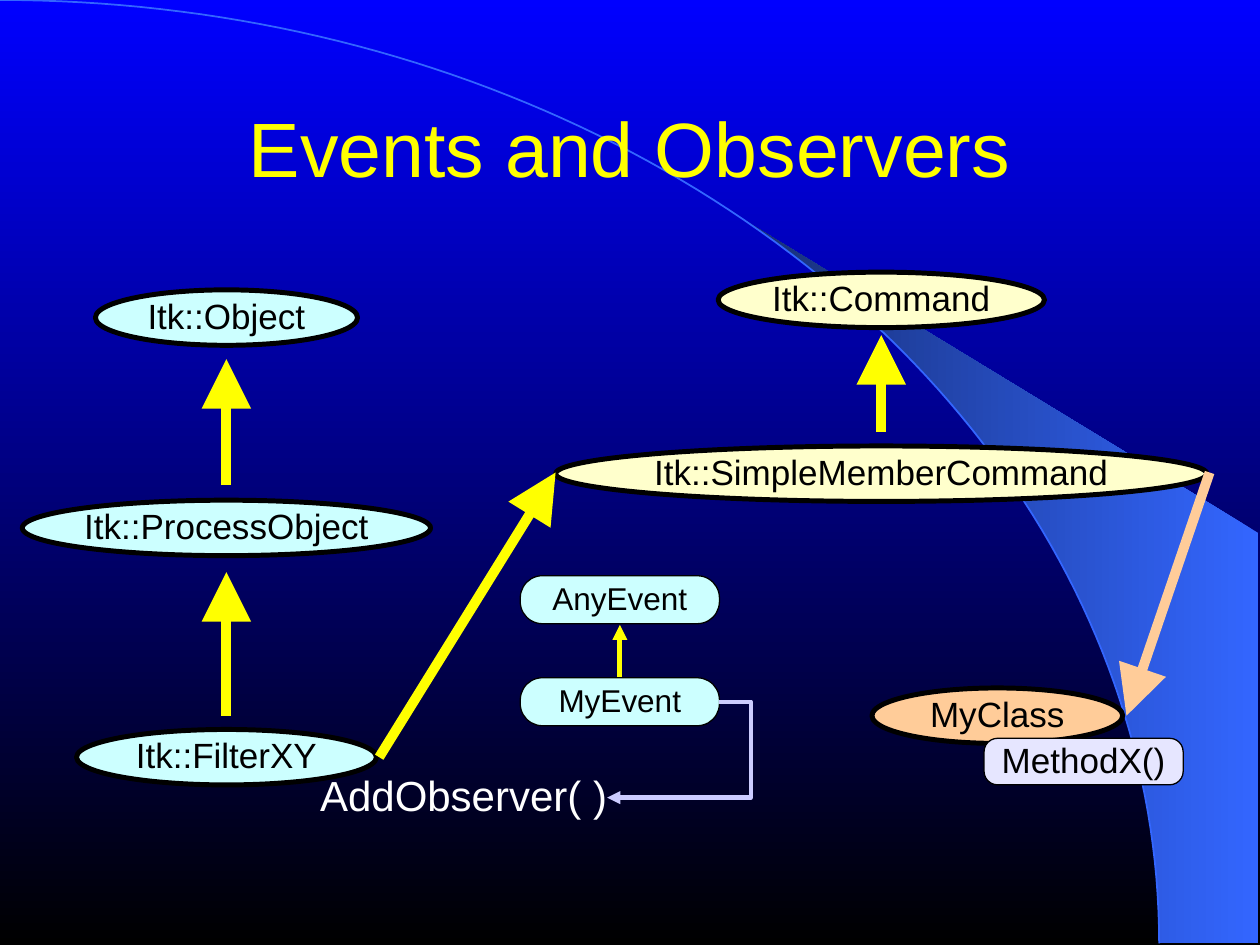
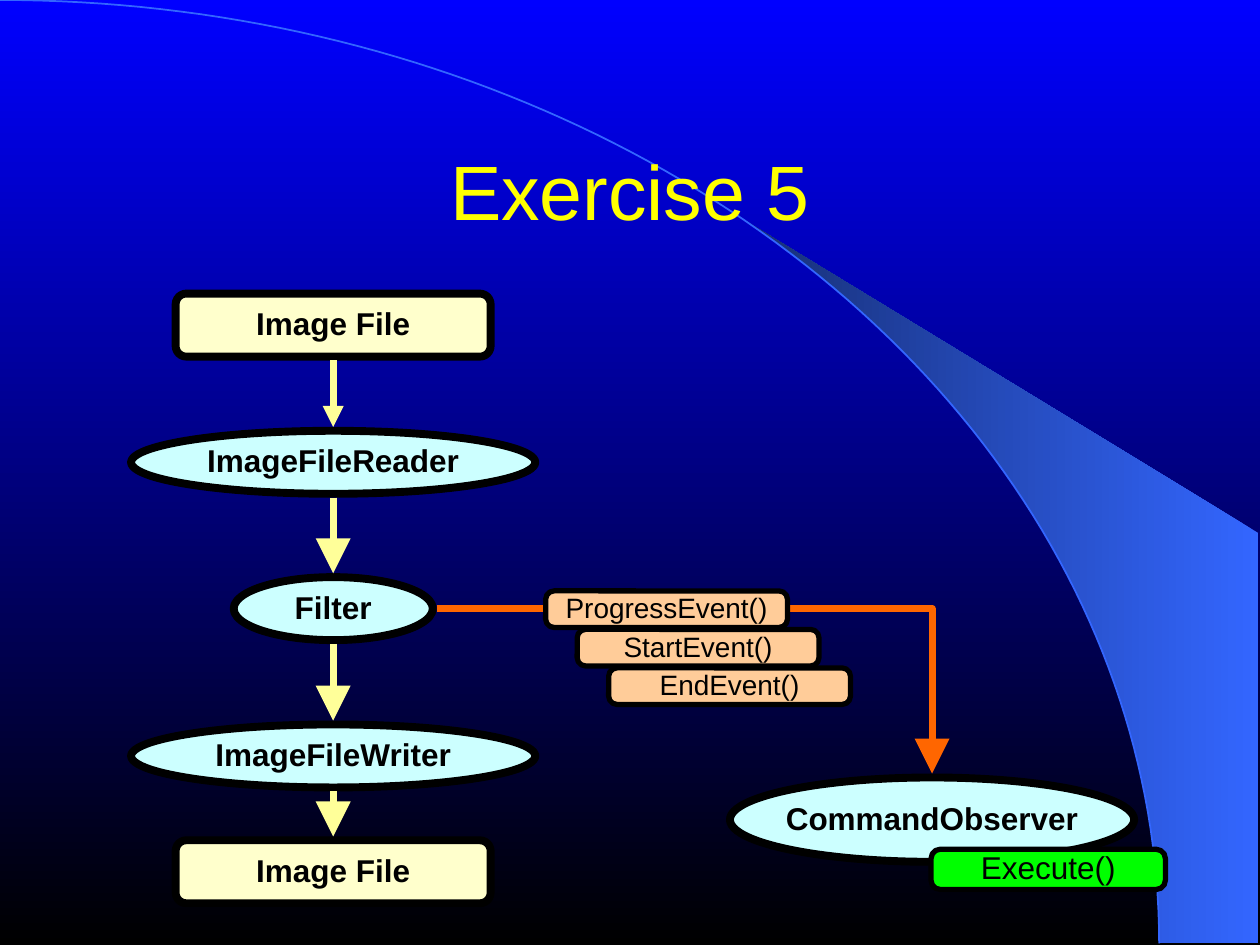
from dataclasses import dataclass
from itertools import pairwise
from math import cos, radians, sin

from lxml import etree
from pptx import Presentation
from pptx import util as u
from pptx.dml.color import RGBColor
from pptx.enum import shapes, text
from pptx.oxml.ns import qn

BLUE = RGBColor(0x00, 0x00, 0xFF)
BLACK = RGBColor(0x00, 0x00, 0x00)
WHITE = RGBColor(0xFF, 0xFF, 0xFF)
SKY = RGBColor(0x33, 0x66, 0xFF)
NAVY = RGBColor(0x17, 0x2F, 0x75)
YELLOW = RGBColor(0xFF, 0xFF, 0x00)
PALE_YELLOW = RGBColor(0xFF, 0xFF, 0x99)
CREAM = RGBColor(0xFF, 0xFF, 0xCC)
AQUA = RGBColor(0xCC, 0xFF, 0xFF)
PEACH = RGBColor(0xFF, 0xCC, 0x99)
LAVENDER = RGBColor(0xE6, 0xE6, 0xFF)
PERIWINKLE = RGBColor(0xCC, 0xCC, 0xFF)
ORANGE = RGBColor(0xFF, 0x66, 0x00)
GREEN = RGBColor(0x00, 0xFF, 0x00)

FONT = "Arial"
LINE_SPACING = 0.93
PAGE_WIDTH, PAGE_HEIGHT = 720, 540
ARC_WIDTH, ARC_HEIGHT = 662.4, 539
WEDGE_ANGLE = 50
TITLE_ONLY = 5

ELLIPSE = shapes.MSO_SHAPE.OVAL
ROUNDED = shapes.MSO_SHAPE.ROUNDED_RECTANGLE


@dataclass(frozen=True)
class NodeStyle:
    kind: shapes.MSO_SHAPE
    height: float
    size: float
    border: float
    radius: float = 0
    bold: bool = False


@dataclass(frozen=True)
class Node:
    label: str
    style: NodeStyle
    fill: RGBColor
    center_x: float
    center_y: float
    width: float


@dataclass(frozen=True)
class Arrow:
    start: tuple[float, float]
    end: tuple[float, float]
    color: RGBColor
    weight: float
    head: str = "lg"
    geometry: str = "line"
    bend: float | None = None


CLASS = NodeStyle(ELLIPSE, 31.7, 20, 2.83)
METHOD = NodeStyle(ROUNDED, 26.6, 20, 0.75, 0.29)
EVENT = NodeStyle(ROUNDED, 27.4, 18, 0.75, 0.46)
FILE = NodeStyle(ROUNDED, 36, 18, 4.5, 0.17, True)
STAGE = NodeStyle(ELLIPSE, 36, 18, 4.5, bold=True)
OBSERVER = NodeStyle(ELLIPSE, 48.2, 18, 4.5, bold=True)
CALLBACK = NodeStyle(ROUNDED, 23, 18, 3, 0.23)
SIGNAL = NodeStyle(ROUNDED, 20.9, 16, 3, 0.23)


def write(frame, words: str, size: float, color: RGBColor, bold: bool = False,
          align=text.PP_ALIGN.CENTER) -> None:
    frame.text = words
    para = frame.paragraphs[0]
    para.alignment = align
    para.line_spacing = LINE_SPACING
    font = para.runs[0].font
    font.name = FONT
    font.size = u.Pt(size)
    font.bold = bold
    font.color.rgb = color


def clear_margins(frame) -> None:
    frame.margin_left = frame.margin_right = 0
    frame.margin_top = frame.margin_bottom = 0
    frame.word_wrap = False


def set_gradient(fill, colors: tuple[RGBColor, RGBColor], angle: float) -> None:
    fill.gradient()
    fill.gradient_angle = angle
    for stop, color in zip(fill.gradient_stops, colors):
        stop.color.rgb = color


def arc_points(angles: range) -> list[tuple[int, int]]:
    return [(u.Pt(ARC_WIDTH * cos(radians(angle))),
             u.Pt(ARC_HEIGHT * (1 - sin(radians(angle))))) for angle in angles]


def add_outline(page, points: list[tuple[int, int]], close: bool):
    builder = page.shapes.build_freeform(*points[0])
    builder.add_line_segments(points[1:], close=close)
    outline = builder.convert_to_shape()
    outline.shadow.inherit = False
    return outline


def decorate_master(deck, page) -> None:
    master = deck.slide_master
    set_gradient(master.background.fill, (BLUE, BLACK), 270)

    corner = [(u.Pt(ARC_WIDTH), u.Pt(ARC_HEIGHT)), (u.Pt(719), u.Pt(ARC_HEIGHT)),
              (u.Pt(719), u.Pt(304.6))]
    wedge = add_outline(page, corner + arc_points(range(WEDGE_ANGLE, -1, -1)), True)
    set_gradient(wedge.fill, (SKY, NAVY), 180)
    wedge.line.fill.background()

    arc = add_outline(page, arc_points(range(0, 91)), False)
    arc.fill.background()
    arc.line.color.rgb = SKY
    arc.line.width = u.Pt(1)

    for index, outline in enumerate((wedge, arc)):
        outline.element.nvSpPr.cNvPr.set("id", str(100 + index))
        master.shapes.element.insert(2 + index, outline.element)


def add_title(page, words: str, top: float) -> None:
    title = page.shapes.title
    title.left, title.top = u.Pt(54), u.Pt(top)
    title.width, title.height = u.Pt(612), u.Pt(90)
    frame = title.text_frame
    frame.auto_size = text.MSO_AUTO_SIZE.NONE
    frame.vertical_anchor = text.MSO_ANCHOR.MIDDLE
    write(frame, words, 44, YELLOW)


def add_node(page, node: Node) -> None:
    style = node.style
    box = page.shapes.add_shape(
        style.kind, u.Pt(node.center_x - node.width / 2),
        u.Pt(node.center_y - style.height / 2), u.Pt(node.width), u.Pt(style.height))
    if style.radius:
        box.adjustments[0] = style.radius
    box.shadow.inherit = False
    box.fill.solid()
    box.fill.fore_color.rgb = node.fill
    box.line.color.rgb = BLACK
    box.line.width = u.Pt(style.border)
    frame = box.text_frame
    clear_margins(frame)
    frame.vertical_anchor = text.MSO_ANCHOR.MIDDLE
    write(frame, node.label, style.size, BLACK, style.bold)


def add_arrow(page, arrow: Arrow) -> None:
    connector = page.shapes.add_connector(
        shapes.MSO_CONNECTOR.STRAIGHT, *(u.Pt(value) for value in arrow.start + arrow.end))
    connector.line.color.rgb = arrow.color
    connector.line.width = u.Pt(arrow.weight)
    properties = connector.element.spPr
    etree.SubElement(properties.find(qn("a:ln")), qn("a:tailEnd"),
                     type="triangle", w=arrow.head, len=arrow.head)
    etree.SubElement(properties, qn("a:effectLst"))
    geometry = properties.find(qn("a:prstGeom"))
    geometry.set("prst", arrow.geometry)
    if arrow.bend is not None:
        etree.SubElement(geometry.find(qn("a:avLst")), qn("a:gd"),
                         name="adj1", fmla=f"val {round(arrow.bend * 100000)}")


def build_events(page) -> None:
    add_title(page, "Events and Observers", 41.8)
    object_x, command_x, event_x = 129.4, 503.6, 354.2
    nodes = [
        Node("Itk::Object", CLASS, AQUA, object_x, 181.5, 149.8),
        Node("Itk::ProcessObject", CLASS, AQUA, object_x, 301.7, 233.3),
        Node("Itk::FilterXY", CLASS, AQUA, object_x, 432.7, 171.4),
        Node("Itk::Command", CLASS, CREAM, command_x, 171.4, 186.5),
        Node("Itk::SimpleMemberCommand", CLASS, CREAM, command_x, 270.7, 372.2),
        Node("MyClass", CLASS, PEACH, 569.9, 409, 143.3),
        Node("MethodX()", METHOD, LAVENDER, 619.2, 435.2, 113.8),
        Node("AnyEvent", EVENT, AQUA, event_x, 342.7, 113.8),
        Node("MyEvent", EVENT, AQUA, event_x, 401, 113.8),
    ]
    arrows = [
        Arrow((object_x, 277.2), (object_x, 205.2), YELLOW, 5.67),
        Arrow((object_x, 409), (object_x, 326.9), YELLOW, 5.67),
        Arrow((command_x, 247), (command_x, 191.5), YELLOW, 5.67),
        Arrow((216.7, 432.7), (317.5, 270), YELLOW, 5.67),
        Arrow((691.2, 270), (643.7, 409), PEACH, 5.67),
        Arrow((event_x, 386.6), (event_x, 357.1), YELLOW, 2.83, "med"),
        Arrow((411.1, 401), (347, 455.8), PERIWINKLE, 2.5, "med", "bentConnector3", -0.28),
    ]
    for node in nodes:
        add_node(page, node)
    for arrow in arrows:
        add_arrow(page, arrow)

    caption = page.shapes.add_textbox(u.Pt(182.9), u.Pt(442.1), u.Pt(164.2), u.Pt(26.6))
    clear_margins(caption.text_frame)
    write(caption.text_frame, "AddObserver( )", 24, WHITE, align=text.PP_ALIGN.LEFT)


def build_exercise(page) -> None:
    add_title(page, "Exercise 5", 66.2)
    pipeline_x, observer_x, gap = 190.4, 532.6, 2.2
    pipeline = [
        Node("Image File", FILE, CREAM, pipeline_x, 185.8, 180),
        Node("ImageFileReader", STAGE, AQUA, pipeline_x, 264.2, 231),
        Node("Filter", STAGE, AQUA, pipeline_x, 347.8, 113.8),
        Node("ImageFileWriter", STAGE, AQUA, pipeline_x, 432, 231),
        Node("Image File", FILE, CREAM, pipeline_x, 498.2, 180),
    ]
    for node in pipeline:
        add_node(page, node)
    for index, (source, target) in enumerate(pairwise(pipeline)):
        start = (pipeline_x, source.center_y + source.style.height / 2 + gap)
        end = (pipeline_x, target.center_y - target.style.height / 2 - gap)
        add_arrow(page, Arrow(start, end, PALE_YELLOW, 4, "lg" if index else "med"))

    add_node(page, Node("CommandObserver", OBSERVER, AQUA, observer_x, 468.4, 231))
    add_arrow(page, Arrow((249.8, 347.8), (observer_x, 442), ORANGE, 4,
                          geometry="bentConnector2"))
    add_node(page, Node("Execute()", CALLBACK, GREEN, 599, 496.8, 133.9))
    for index, label in enumerate(("ProgressEvent()", "StartEvent()", "EndEvent()")):
        add_node(page, Node(label, SIGNAL, PEACH, 380.9 + 18 * index,
                            348.1 + 22 * index, 138.2))


def main() -> None:
    deck = Presentation()
    deck.slide_width, deck.slide_height = u.Pt(PAGE_WIDTH), u.Pt(PAGE_HEIGHT)
    layout = deck.slide_layouts[TITLE_ONLY]
    events, exercise = (deck.slides.add_slide(layout) for _ in range(2))
    decorate_master(deck, events)
    build_events(events)
    build_exercise(exercise)
    deck.save("out.pptx")


if __name__ == "__main__":
    main()
